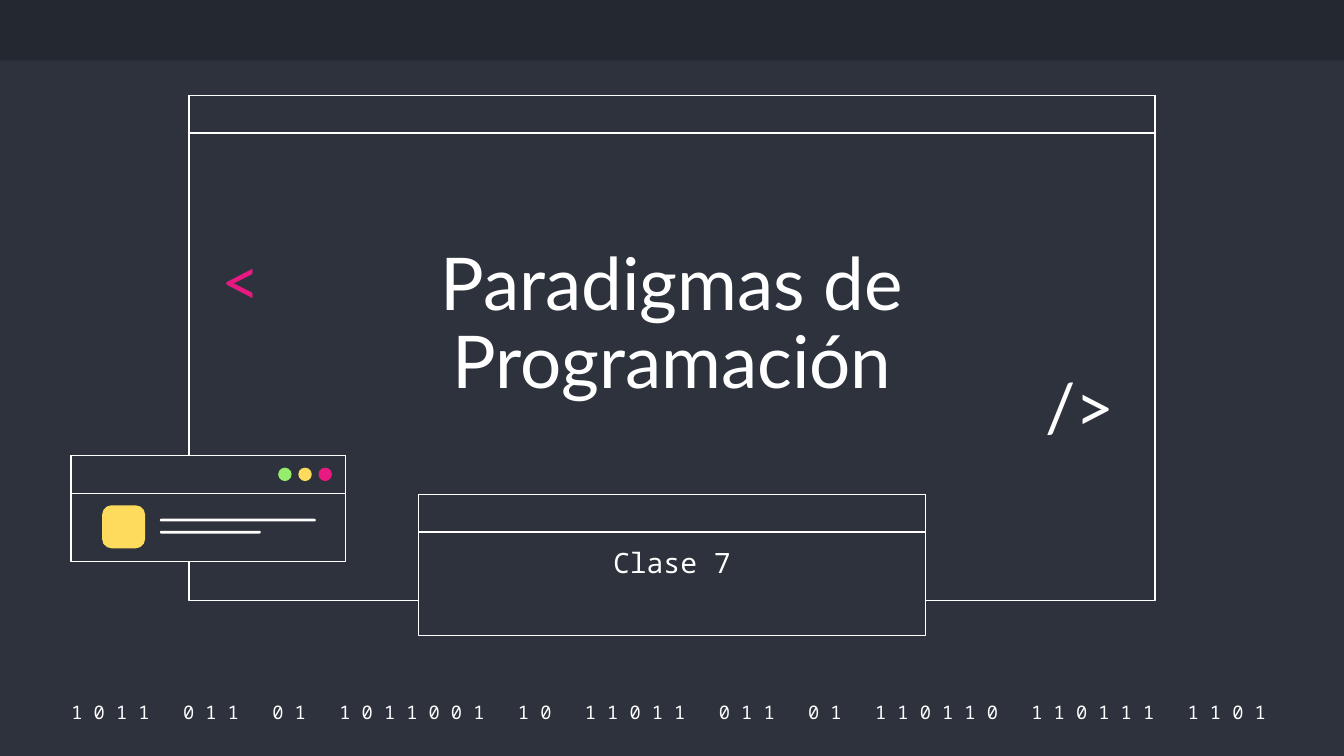
import pptx
import pptx.util
import pptx.dml.color
import pptx.enum.shapes
import pptx.enum.text

Inches, Pt = pptx.util.Inches, pptx.util.Pt
RGBColor = pptx.dml.color.RGBColor
SHAPE = pptx.enum.shapes.MSO_SHAPE
ALIGN = pptx.enum.text.PP_ALIGN
ANCHOR = pptx.enum.text.MSO_ANCHOR

NIGHT = RGBColor(0x2D, 0x32, 0x3C)
BAND = RGBColor(0x24, 0x28, 0x30)
WHITE = RGBColor(0xFF, 0xFF, 0xFF)
PINK = RGBColor(0xE8, 0x19, 0x81)
YELLOW = RGBColor(0xFF, 0xDB, 0x5D)
GREEN = RGBColor(0x94, 0xEE, 0x6B)

SANS, MONO = "Lato", "Noto Sans Mono"
WIDTH = 10
HEIGHT = WIDTH * 9 / 16
BAR_HEIGHT = 0.28

TITLE = "Paradigmas de Programación"
SUBTITLE = "Clase 7"
BINARY_WORDS = "1011 011 01 1011001 10 11011 011 01 110110 110111 1101".split()
TAGS = [("<", 1.55, 1.79, PINK), ("/>", 7.68, 2.73, WHITE)]
CARD = (0.53, 3.39, 2.04, 0.79)
CARD_BUTTONS = [GREEN, YELLOW, PINK]
CARD_LINE_WIDTHS = [1.16, 0.75]


def centred(top, width, height):
    """Return a box centred across the slide."""
    return (WIDTH - width) / 2, top, width, height


def place(shape, box):
    shape.left, shape.top, shape.width, shape.height = map(Inches, box)


def add_block(slide, kind, box, fill, outline=None):
    block = slide.shapes.add_shape(kind, *map(Inches, box))
    block.shadow.inherit = False
    block.fill.solid()
    block.fill.fore_color.rgb = fill
    if outline is None:
        block.line.fill.background()
    else:
        block.line.color.rgb = outline
        block.line.width = Pt(0.75)
    return block


def add_window(slide, box):
    left, top, width, _ = box
    for part in (box, (left, top, width, BAR_HEIGHT)):
        add_block(slide, SHAPE.RECTANGLE, part, NIGHT, WHITE)


def write(shape, pieces, size, font, color=WHITE, align=ALIGN.CENTER,
          anchor=ANCHOR.MIDDLE, spacing=1.0, gap=0):
    """Fill shape with pieces; gap widens the space between them, in points."""
    frame = shape.text_frame
    frame.word_wrap = True
    frame.auto_size = pptx.enum.text.MSO_AUTO_SIZE.NONE
    frame.vertical_anchor = anchor
    frame.margin_left = frame.margin_right = Inches(0.1)
    frame.margin_top = frame.margin_bottom = Inches(0.1)
    paragraph = frame.paragraphs[0]
    paragraph.alignment = align
    paragraph.line_spacing = spacing
    paragraph.space_before = Pt(0)
    for index, piece in enumerate(pieces):
        if index:
            separator = add_run(paragraph, " ", size, font, color)
            separator._r.get_or_add_rPr().set("spc", str(gap * 100))
        add_run(paragraph, piece, size, font, color)


def add_run(paragraph, text, size, font, color):
    run = paragraph.add_run()
    run.text = text
    run.font.size = Pt(size)
    run.font.name = font
    run.font.bold = False
    run.font.color.rgb = color
    return run


def add_card(slide):
    add_window(slide, CARD)
    left, top = CARD[:2]
    icon = add_block(slide, SHAPE.ROUNDED_RECTANGLE,
                     (left + 0.23, top + 0.37, 0.32, 0.32), YELLOW)
    icon.adjustments[0] = 0.22
    for row, width in enumerate(CARD_LINE_WIDTHS):
        line = add_block(slide, SHAPE.ROUNDED_RECTANGLE,
                         (left + 0.66, top + 0.47 + row * 0.09, width, 0.02), WHITE)
        line.adjustments[0] = 0.5
    for column, color in enumerate(CARD_BUTTONS):
        add_block(slide, SHAPE.OVAL,
                  (left + 1.54 + column * 0.15, top + 0.09, 0.1, 0.1), color)


def main():
    deck = pptx.Presentation()
    deck.slide_width, deck.slide_height = Inches(WIDTH), Inches(HEIGHT)
    slide = deck.slides.add_slide(deck.slide_layouts[0])
    slide.background.fill.solid()
    slide.background.fill.fore_color.rgb = NIGHT

    add_block(slide, SHAPE.RECTANGLE, (0, 0, WIDTH, 0.45), BAND)
    binary = slide.shapes.add_textbox(*map(Inches, (0.34, 5.2, 9.27, 0.2)))
    write(binary, [" ".join(word) for word in BINARY_WORDS], 10, MONO, gap=12)

    add_window(slide, centred(0.71, 7.19, 3.76))
    add_window(slide, centred(3.68, 3.77, 1.05))
    for tag, left, top, color in TAGS:
        box = slide.shapes.add_textbox(*map(Inches, (left, top, 0.77, 0.66)))
        write(box, [tag], 36, SANS, color=color, align=ALIGN.LEFT, spacing=0.9)

    title, subtitle = slide.placeholders
    place(title, centred(1.79, 5.49, 1.32))
    write(title, [TITLE], 39, SANS, anchor=ANCHOR.BOTTOM, spacing=0.9)
    place(subtitle, centred(3.96, 3.33, 0.78))
    write(subtitle, [SUBTITLE], 15, MONO, anchor=ANCHOR.TOP)
    for placeholder in (title, subtitle):  # bring in front of the windows
        slide.shapes._spTree.append(placeholder._element)

    add_card(slide)
    deck.save("out.pptx")


if __name__ == "__main__":
    main()
